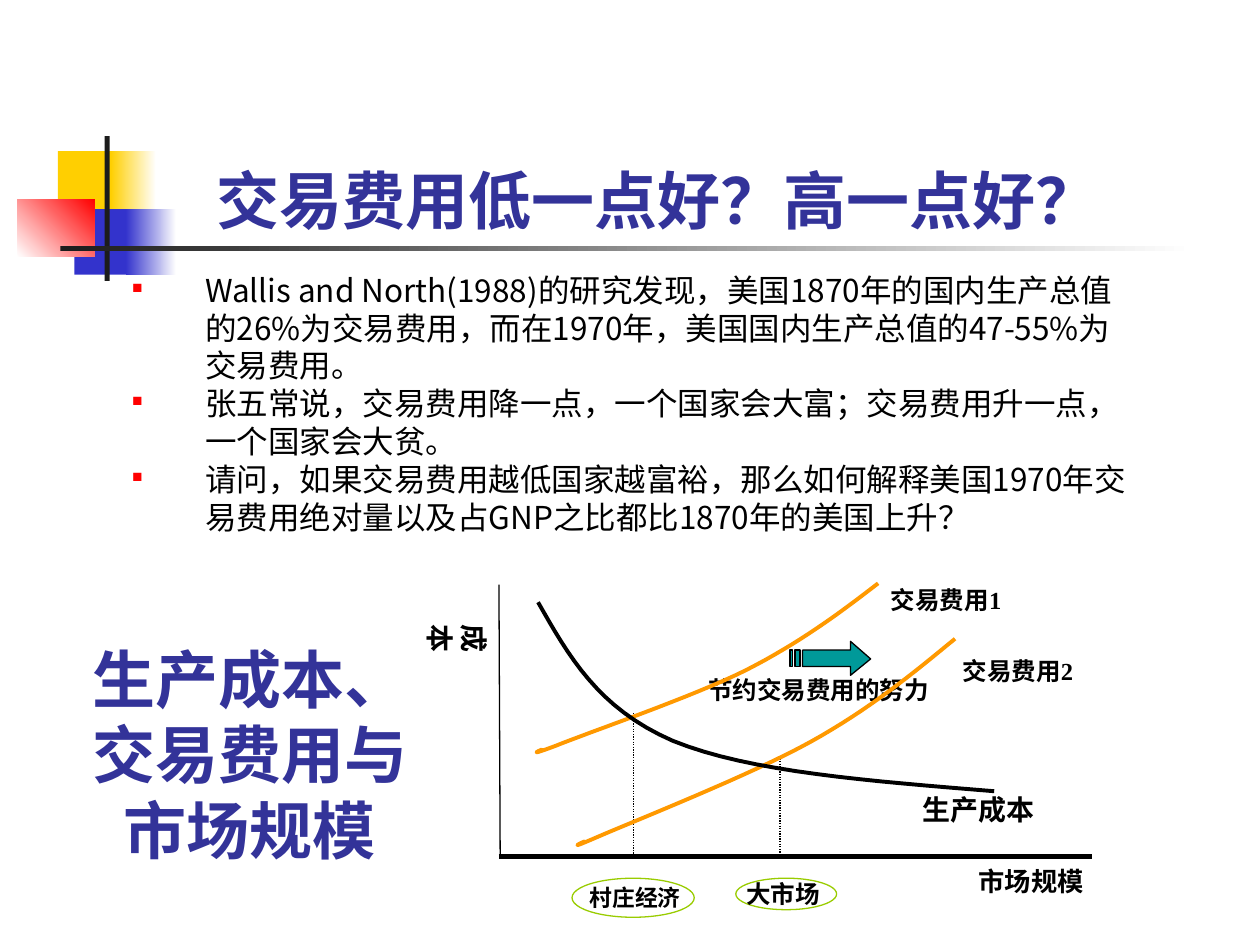
from lxml import etree
from pptx import Presentation
from pptx.dml.color import RGBColor
from pptx.enum.dml import MSO_LINE
from pptx.enum.shapes import MSO_CONNECTOR, MSO_SHAPE
from pptx.enum.text import MSO_ANCHOR, PP_ALIGN
from pptx.oxml.ns import qn
from pptx.util import Inches, Pt

RECT, OVAL = MSO_SHAPE.RECTANGLE, MSO_SHAPE.OVAL
STRAIGHT, DOTTED = MSO_CONNECTOR.STRAIGHT, MSO_LINE.ROUND_DOT
LEFT, CENTER, RIGHT = PP_ALIGN.LEFT, PP_ALIGN.CENTER, PP_ALIGN.RIGHT
TOP, MIDDLE, BOTTOM = MSO_ANCHOR.TOP, MSO_ANCHOR.MIDDLE, MSO_ANCHOR.BOTTOM

BLACK = RGBColor(0x00, 0x00, 0x00)
WHITE = RGBColor(0xFF, 0xFF, 0xFF)
INK = RGBColor(0x1C, 0x1C, 0x1C)
YELLOW = RGBColor(0xFF, 0xCF, 0x01)
BLUE = RGBColor(0x33, 0x33, 0xCC)
RED = RGBColor(0xFF, 0x00, 0x00)
NAVY = RGBColor(0x33, 0x33, 0x99)
TEAL = RGBColor(0x00, 0x99, 0x99)
GREEN = RGBColor(0x99, 0xCC, 0x00)
ORANGE = RGBColor(0xFF, 0x99, 0x00)

SANS, LABEL, SERIF = "Noto Sans CJK SC", "Karla", "Times New Roman"

BULLETS = [
    "Wallis and North(1988)的研究发现，美国1870年的国内生产总值的26%为交易费用，"
    "而在1970年，美国国内生产总值的47-55%为交易费用。",
    "张五常说，交易费用降一点，一个国家会大富；交易费用升一点，一个国家会大贫。",
    "请问，如果交易费用越低国家越富裕，那么如何解释美国1970年交易费用绝对量"
    "以及占GNP之比都比1870年的美国上升？",
]

# Each curve: a start point, then cubic segments (two controls and an end).
COST_1 = [(3.47, 0.13), (3.16, 0.37), (2.85, 0.6), (2.42, 0.82), (2, 1.03),
          (1.18, 1.31), (0.91, 1.42), (0.64, 1.52), (0.82, 1.44), (0.8, 1.45)]
COST_2 = [(4.08, 0.57), (3.74, 0.85), (3.4, 1.13), (2.93, 1.39), (2.46, 1.65),
          (1.55, 2.01), (1.25, 2.14), (0.95, 2.27), (1.15, 2.17), (1.14, 2.18)]
PRODUCTION = [(0.77, 0.28), (1.01, 0.7), (1.24, 1.12), (1.84, 1.38),
              (2.45, 1.63), (3.42, 1.7), (4.39, 1.78)]

ARROW_HEAD = [(0.48, 0), (0.48, 0.07), (0.1, 0.07), (0.1, 0.2),
              (0.48, 0.2), (0.48, 0.27), (0.64, 0.14)]
ARROW_STRIPES = [[(x0, 0.07), (x0, 0.2), (x1, 0.2), (x1, 0.07)]
                 for x0, x1 in ((0.04, 0.08), (0, 0.02))]


def within(box, x, y, w, h):
    """Turn a place inside the box into slide lengths."""
    return [Inches(v) for v in (box[0] + x, box[1] + y, w, h)]


def points_within(box, pts):
    return [(Inches(box[0] + x), Inches(box[1] + y)) for x, y in pts]


def style_run(r, size, font, color, bold):
    r.font.size, r.font.name, r.font.bold = Pt(size), font, bold
    r.font.color.rgb = color
    etree.SubElement(r.font._element, qn("a:ea"), typeface=font)


def set_insets(tf, x, y):
    tf.margin_left = tf.margin_right = Inches(x)
    tf.margin_top = tf.margin_bottom = Inches(y)


def add_text(s, place, text, size, font=LABEL, color=BLACK, bold=True,
             align=LEFT, anchor=TOP, insets=(0.07, 0.04)):
    tb = s.shapes.add_textbox(*place)
    tf = tb.text_frame
    tf.word_wrap = True
    tf.vertical_anchor = anchor
    set_insets(tf, *insets)
    tf.text = text
    for p in tf.paragraphs:
        p.alignment = align
        style_run(p.runs[0], size, font, color, bold)
    return tb


def add_block(s, place, color, fade_to=None, angle=0):
    sp = s.shapes.add_shape(RECT, *place)
    sp.shadow.inherit = False
    sp.line.fill.background()
    if fade_to is None:
        sp.fill.solid()
        sp.fill.fore_color.rgb = color
        return
    sp.fill.gradient()
    sp.fill.gradient_angle = angle
    for stop, rgb in zip(sp.fill.gradient_stops, (color, fade_to)):
        stop.color.rgb = rgb


def add_line(s, box, start, end, width, dash=None):
    (x0, y0), (x1, y1) = points_within(box, (start, end))
    line = s.shapes.add_connector(STRAIGHT, x0, y0, x1, y1)
    line.line.color.rgb = BLACK
    line.line.width = Pt(width)
    line.line.dash_style = dash
    etree.SubElement(line._element.spPr, qn("a:effectLst"))


def sample_curve(pts, steps=16):
    """Points along a chain of cubic Bezier segments."""
    out = [pts[0]]
    for i in range(0, len(pts) - 1, 3):
        for k in range(1, steps + 1):
            t = k / steps
            weights = ((1 - t) ** 3, 3 * t * (1 - t) ** 2, 3 * t * t * (1 - t), t ** 3)
            out.append(tuple(sum(w * pt[axis] for w, pt in zip(weights, pts[i:i + 4]))
                             for axis in (0, 1)))
    return out


def add_curve(s, box, pts, color):
    places = points_within(box, sample_curve(pts))
    fb = s.shapes.build_freeform(*places[0])
    fb.add_line_segments(places[1:], close=False)
    sp = fb.convert_to_shape()
    sp.shadow.inherit = False
    sp.fill.background()
    sp.line.color.rgb = color
    sp.line.width = Pt(2.25)


def add_striped_arrow(s, box):
    head = points_within(box, ARROW_HEAD)
    fb = s.shapes.build_freeform(*head[0])
    fb.add_line_segments(head[1:])
    for stripe in ARROW_STRIPES:
        corners = points_within(box, stripe)
        fb.move_to(*corners[0])
        fb.add_line_segments(corners[1:])
    arrow = fb.convert_to_shape()
    arrow.shadow.inherit = False
    arrow.fill.solid()
    arrow.fill.fore_color.rgb = TEAL
    arrow.line.color.rgb = BLACK
    arrow.line.width = Pt(0.75)


def add_ornament(s, box):
    add_block(s, within(box, 0.32, 0.12, 0.48, 0.52), YELLOW)
    add_block(s, within(box, 0.74, 0.12, 0.36, 0.52), YELLOW, WHITE)
    add_block(s, within(box, 0.45, 0.58, 0.46, 0.52), BLUE)
    add_block(s, within(box, 0.86, 0.58, 0.4, 0.52), BLUE, WHITE)
    add_block(s, within(box, 0, 0.5, 0.61, 0.46), WHITE, RED, 45)
    add_block(s, within(box, 0.69, 0, 0.04, 1.15), INK)
    add_block(s, within(box, 0.34, 0.87, 9, 0.04), INK, WHITE)


def add_bullets(s, box):
    tb = add_text(s, within(box, 0, 0, *box[2:]), "\n".join(BULLETS), 18, SANS,
                  bold=False, insets=(0.1, 0.05))
    for p in tb.text_frame.paragraphs:
        pPr = p._p.get_or_add_pPr()
        pPr.set("marL", str(Inches(1.02)))
        pPr.set("indent", str(Inches(-0.58)))
        bu_clr = etree.SubElement(pPr, qn("a:buClr"))
        etree.SubElement(bu_clr, qn("a:srgbClr"), val=str(RED))
        etree.SubElement(pPr, qn("a:buSzPct"), val="45000")
        etree.SubElement(pPr, qn("a:buChar"), char="■")


def add_oval(s, place):
    sp = s.shapes.add_shape(OVAL, *place)
    sp.shadow.inherit = False
    sp.fill.background()
    sp.line.color.rgb = GREEN
    sp.line.width = Pt(0.75)
    return sp


def add_cost_diagram(s, box):
    add_line(s, box, (0.46, 0.14), (0.47, 2.3), 0.75)
    add_line(s, box, (0.46, 2.3), (5.17, 2.3), 3)
    add_text(s, within(box, 3.72, 2.33, 1.45, 0.19), "市场规模", 15, align=RIGHT)
    add_text(s, within(box, 3.75, 1.75, 1.19, 0.39), "生产成本", 16)
    for number, x, y in (("1", 3.5, 0.1), ("2", 4.07, 0.67)):
        tb = add_text(s, within(box, x, y, 1.24, 0.42), "交易费用", 14)
        r = tb.text_frame.paragraphs[0].add_run()
        r.text = number
        style_run(r, 14, SERIF, BLACK, True)

    add_striped_arrow(s, (box[0] + 2.77, box[1] + 0.59))
    add_text(s, within(box, 2.05, 0.82, 1.91, 0.26), "节约交易费用的努力", 14)
    add_text(s, within(box, 0.05, 0.42, 0.42, 0.36), "成本", 16).rotation = 90

    for x, top in ((2.69, 1.52), (1.53, 1.16)):
        add_line(s, box, (x, top), (x, 2.3), 0.75, DOTTED)
    add_text(s, within(box, 1.11, 2.47, 0.95, 0.41), "村庄经济", 13)
    add_oval(s, within(box, 1.04, 2.47, 0.97, 0.31))
    for pts, color in ((COST_2, ORANGE), (COST_1, ORANGE), (PRODUCTION, BLACK)):
        add_curve(s, box, pts, color)

    market = add_oval(s, within(box, 2.34, 2.47, 0.8, 0.25))
    tf = market.text_frame
    tf.word_wrap = False
    set_insets(tf, 0, 0)
    tf.margin_right = Inches(0.05)
    tf.text = "大市场"
    tf.paragraphs[0].alignment = CENTER
    style_run(tf.paragraphs[0].runs[0], 14, SANS, BLACK, True)


def main():
    prs = Presentation()
    prs.slide_width, prs.slide_height = Inches(10), Inches(7.5)
    s = prs.slides.add_slide(prs.slide_layouts[6])
    add_ornament(s, (0.14, 1.08))
    add_text(s, within((1.26, 0.68), 0, 0, 7.91, 1.25), "交易费用低一点好？高一点好？",
             36, SANS, NAVY, align=CENTER, anchor=BOTTOM, insets=(0.1, 0.05))
    add_bullets(s, (0.51, 2.1, 8.58, 2.17))
    add_text(s, within((0.59, 5.09), 0, 0, 2.78, 1.78), "生产成本、交易费用与市场规模",
             36, SANS, NAVY, align=CENTER, anchor=MIDDLE)
    add_cost_diagram(s, (3.5, 4.5))
    prs.save("out.pptx")


if __name__ == "__main__":
    main()
